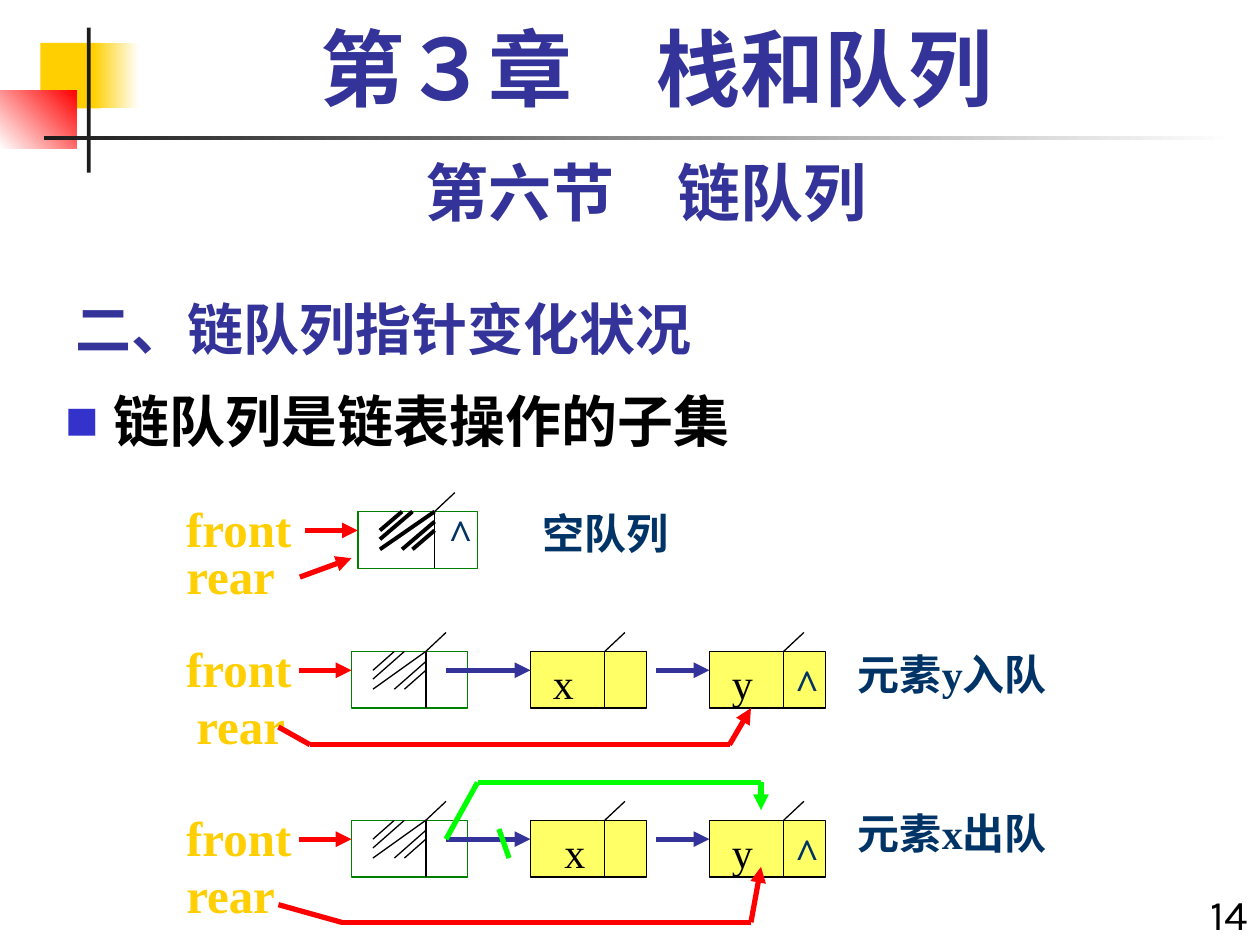
from itertools import pairwise

from lxml.etree import SubElement
from pptx import Presentation
from pptx.dml.color import RGBColor
from pptx.enum.shapes import MSO_CONNECTOR as Link, MSO_SHAPE as Shape
from pptx.enum.text import MSO_ANCHOR as Anchor, MSO_AUTO_SIZE as AutoSize, PP_ALIGN as Align
from pptx.oxml.ns import qn
from pptx.util import Inches, Pt

CJK, SERIF, SANS = "Noto Sans CJK SC", "Times New Roman", "Karla"
INDIGO, NAVY, GOLD, BLACK = "333399", "003366", "FFCF01", "000000"
RED, GREEN, YELLOW, DARK = "FF0000", "00FF00", "FFFF66", "1C1C1C"
NODE_WIDTH, NODE_HEIGHT, NODE_PITCH = 0.92, 0.45, 1.42
HATCHES = [((-0.17, 0), (-0.42, 0.22)), ((0, 0.08), (-0.25, 0.3)), ((0, 0), (-0.42, 0.3)),
           ((0, 0.15), (-0.17, 0.3)), ((-0.25, 0), (-0.42, 0.15))]


def color(value):
    return RGBColor.from_string(value)


def assign(target, values):
    for name, value in values.items():
        setattr(target, name, value)


def write(frame, text, size, font, shade, bold=True, frame_format=None, para_format=None):
    assign(frame, {"word_wrap": True, "auto_size": AutoSize.NONE, **(frame_format or {})})
    para = frame.paragraphs[0]
    assign(para, para_format or {})
    span = para.add_run()
    span.text = text
    assign(span.font, {"size": Pt(size), "name": font, "bold": bold})
    span.font.color.rgb = color(shade)
    SubElement(span.font._element, qn("a:ea"), typeface=CJK)
    return para


def add_text(page, box, text, size, font, shade, bold=True, frame_format=None, **para_format):
    frame = page.shapes.add_textbox(*map(Inches, box)).text_frame
    write(frame, text, size, font, shade, bold, frame_format, para_format)


def add_rect(page, box, fill=None, line=None, fade=None, angle=0):
    rect = page.shapes.add_shape(Shape.RECTANGLE, *map(Inches, box))
    rect.shadow.inherit = False
    if fade:
        rect.fill.gradient()
        rect.fill.gradient_angle = angle
        for stop, shade in zip(rect.fill.gradient_stops, (fill, fade)):
            stop.color.rgb = color(shade)
    elif fill:
        rect.fill.solid()
        rect.fill.fore_color.rgb = color(fill)
    else:
        rect.fill.background()
    if line:
        rect.line.color.rgb = color(line)
        rect.line.width = Pt(0.75)
    else:
        rect.line.fill.background()


def add_path(page, origin, points, shade=BLACK, width=0.75, arrow=False):
    """Join points, given relative to origin; the last piece may carry an arrowhead."""
    left, top = origin
    places = [(Inches(left + x), Inches(top + y)) for x, y in points]
    for start, end in pairwise(places):
        piece = page.shapes.add_connector(Link.STRAIGHT, *start, *end)
        piece.line.color.rgb = color(shade)
        piece.line.width = Pt(width)
        if arrow and end == places[-1]:
            SubElement(piece.line._get_or_add_ln(), qn("a:tailEnd"), type="triangle")
        SubElement(piece._element.spPr, qn("a:effectLst"))


def add_ornament(page, left, top):
    add_rect(page, (left + 0.32, top + 0.12, 0.48, 0.52), GOLD)
    add_rect(page, (left + 0.74, top + 0.12, 0.36, 0.52), GOLD, fade="FFFFFF")
    add_rect(page, (left, top + 0.5, 0.61, 0.46), "FFFFFF", fade=RED, angle=45)
    add_rect(page, (left + 0.69, top, 0.03, 1.15), DARK)
    add_rect(page, (left + 0.35, top + 0.86, 9.45, 0.03), DARK, fade="FFFFFF")


def add_headings(page):
    add_text(page, (0.67, 0.17, 9.08, 0.83), "第３章　栈和队列", 48, SERIF, INDIGO,
             alignment=Align.CENTER, line_spacing=0.9, space_before=Pt(12))
    add_text(page, (0.5, 1.17, 9.25, 0.7), "第六节　链队列", 36, SANS, INDIGO,
             alignment=Align.CENTER, space_before=Pt(22.5))
    add_text(page, (9.33, 7, 0.67, 0.59), "14", 24, SANS, BLACK, False,
             alignment=Align.RIGHT, space_before=Pt(15))


def fill_placeholder(holder, box, text, shade, frame_format, para_format):
    assign(holder, dict(zip(("left", "top", "width", "height"), map(Inches, box))))
    return write(holder.text_frame, text, 32, CJK, shade, True, frame_format, para_format)


def add_outline(page):
    title, body = page.placeholders
    fill_placeholder(title, (0.5, 2.17, 6.25, 0.75), "二、链队列指针变化状况", INDIGO,
                     {"vertical_anchor": Anchor.BOTTOM}, {"alignment": Align.LEFT})
    para = fill_placeholder(body, (0.42, 3.08, 9.58, 4.42), "链队列是链表操作的子集", BLACK,
                            {"vertical_anchor": Anchor.TOP},
                            {"line_spacing": 0.9, "space_before": Pt(20)})
    # Square bullet with a hanging indent
    props = para._p.get_or_add_pPr()
    props.set("marL", str(Inches(0.38)))
    props.set("indent", str(Inches(-0.38)))
    SubElement(SubElement(props, qn("a:buClr")), qn("a:srgbClr"), val="3333CC")
    SubElement(props, qn("a:buSzPct"), val="60000")
    SubElement(props, qn("a:buFont"), typeface=CJK)
    SubElement(props, qn("a:buChar"), char="■")


def add_node(page, left, top, fill=None, line=BLACK, width=NODE_WIDTH, hatch=None):
    """Draw a cell split into data and pointer, with hatching for the head node."""
    scale = width / NODE_WIDTH
    add_rect(page, (left, top, width, NODE_HEIGHT), fill, line)
    split = (left + 0.59 * scale, top)
    add_path(page, split, [(0, NODE_HEIGHT), (0, 0), (0.16, -0.15)])
    if hatch:
        for ends in HATCHES:
            add_path(page, split, [(x * scale, y) for x, y in ends], width=hatch)


def add_pointers(page, left, top, head, rear_at, rear_path):
    """Draw the front and rear labels with their arrows."""
    add_text(page, (left, top, 1.04, 0.57), "front", 28, SERIF, GOLD,
             frame_format={"word_wrap": False})
    add_text(page, (left + rear_at[0], top + rear_at[1], 0.95, 0.57), "rear", 28, SERIF, GOLD)
    add_path(page, (left, top), [(head - 0.42, 0.3), (head, 0.3)], RED, 3, True)
    add_path(page, (left, top), rear_path, RED, 3, True)


def add_label(page, left, top, text, shade=BLACK, bold=False, width=0.42, height=0.5):
    add_text(page, (left, top, width, height), text, 24, SERIF, shade, bold,
             space_before=Pt(15))


def add_empty_queue(page, left, top):
    add_node(page, left + 1.46, top + 0.15, line="008000", width=0.95, hatch=2.25)
    add_pointers(page, left, top, 1.46, (0, 0.37), [(1, 0.67), (1.41, 0.52)])
    add_label(page, left + 2.08, top + 0.07, "^", NAVY, True)
    add_label(page, left + 2.83, top + 0.07, "空队列", NAVY, True, 1.25)


def add_filled_queue(page, left, top, caption, caption_drop, x_shift, rear_at, rear_path):
    head = 1.41
    add_node(page, left + head, top + 0.15, line="008000", hatch=0.75)
    for number in (1, 2):
        add_node(page, left + head + number * NODE_PITCH, top + 0.15, YELLOW)
    # Links between the nodes
    for start, number in ((2.16, 1), (3.83, 2)):
        add_path(page, (left, top), [(start, 0.3), (head + number * NODE_PITCH, 0.3)],
                 INDIGO, 3, True)
    add_pointers(page, left, top, head, rear_at, rear_path)
    # Node contents and caption
    add_label(page, left + x_shift, top + 0.15, "x")
    add_label(page, left + 4.33, top + 0.15, "y")
    add_label(page, left + 4.83, top + 0.15, "^", NAVY, True)
    add_label(page, left + 5.33, top + caption_drop, caption, NAVY, True, 1.75, 0.9)


def add_dequeue(page, left, top):
    add_filled_queue(page, left, top, "元素x出队", 0, 3, (0, 0.45),
                     [(0.83, 0.82), (1.33, 0.96), (4.58, 0.96), (4.66, 0.52)])
    # Bypass around the removed node, and the cut through its old link
    add_path(page, (left, top), [(2.16, 0.3), (2.41, -0.15), (4.66, -0.15), (4.66, 0.07)],
             GREEN, 3, True)
    add_path(page, (left, top), [(2.58, 0.22), (2.66, 0.45)], GREEN, 3)


def main():
    deck = Presentation()
    deck.slide_width, deck.slide_height = Inches(10), Inches(7.5)
    page = deck.slides.add_slide(deck.slide_layouts[1])
    add_ornament(page, 0, 0.22)
    add_outline(page)
    add_headings(page)
    add_empty_queue(page, 1.38, 3.91)
    add_filled_queue(page, 1.38, 5.02, "元素y入队", 0.08, 2.91, (0.08, 0.45),
                     [(0.83, 0.75), (1.08, 0.89), (4.41, 0.89), (4.58, 0.6)])
    add_dequeue(page, 1.38, 6.36)
    deck.save("out.pptx")


if __name__ == "__main__":
    main()
